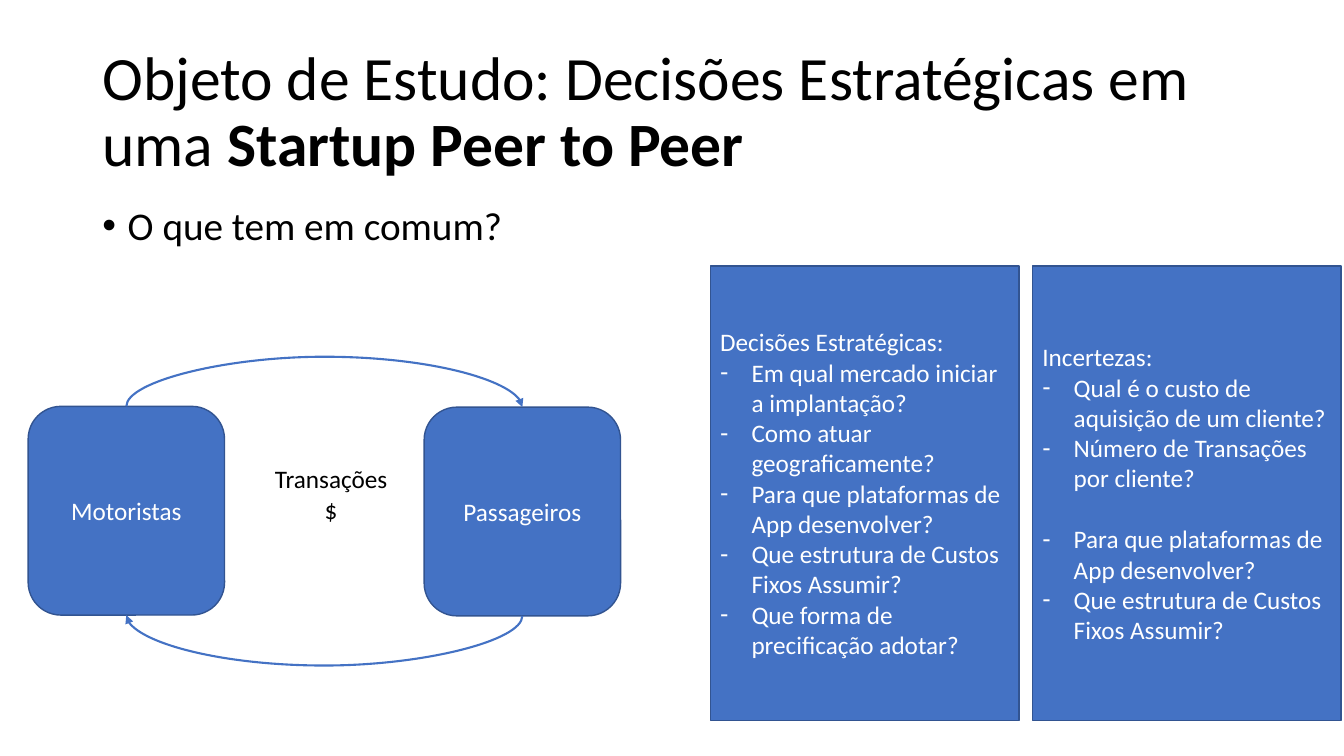
import pptx
import pptx.util
import pptx.dml.color
import pptx.enum.shapes
import pptx.enum.text
import pptx.oxml.ns
import lxml.etree

Cm, Pt = pptx.util.Cm, pptx.util.Pt
SHAPE = pptx.enum.shapes.MSO_SHAPE
ALIGN = pptx.enum.text.PP_ALIGN
ANCHOR = pptx.enum.text.MSO_ANCHOR
qn = pptx.oxml.ns.qn

COLORS = {"text": "000000", "light": "FFFFFF", "fill": "4472C4", "outline": "325491"}
TOP_SITE, BOTTOM_SITE = 0, 2

DECISIONS = [
    "Em qual mercado iniciar a implantação?",
    "Como atuar geograficamente?",
    "Para que plataformas de App desenvolver?",
    "Que estrutura de Custos Fixos Assumir?",
    "Que forma de precificação adotar?",
]
UNCERTAINTIES = [
    "Qual é o custo de aquisição de um cliente?",
    "Número de Transações por cliente?",
    "Para que plataformas de App desenvolver?",
    "Que estrutura de Custos Fixos Assumir?",
]


def rgb(name):
    """Return the named palette colour."""
    return pptx.dml.color.RGBColor.from_string(COLORS[name])


def style(paragraph, size, color, align=ALIGN.LEFT):
    """Set the font and alignment of a paragraph."""
    paragraph.font.name = "Calibri"
    paragraph.font.size = Pt(size)
    paragraph.font.color.rgb = rgb(color)
    paragraph.alignment = align


def add_bullet(paragraph, mark, indent):
    """Give a paragraph a bullet mark and a hanging indent in cm."""
    properties = paragraph._p.get_or_add_pPr()
    properties.set("marL", str(Cm(indent)))
    properties.set("indent", str(-Cm(indent)))
    lxml.etree.SubElement(properties, qn("a:buFont"), typeface="Arial")
    lxml.etree.SubElement(properties, qn("a:buChar"), char=mark)


def add_text(slide, box, anchor=ANCHOR.TOP):
    """Add a wrapping text box and return its text frame."""
    frame = slide.shapes.add_textbox(*map(Cm, box)).text_frame
    frame.word_wrap = True
    frame.vertical_anchor = anchor
    return frame


def add_block(slide, preset, box):
    """Add a filled, outlined shape with vertically centred text."""
    block = slide.shapes.add_shape(preset, *map(Cm, box))
    block.shadow.inherit = False
    block.fill.solid()
    block.fill.fore_color.rgb = rgb("fill")
    block.line.color.rgb = rgb("outline")
    block.line.width = Pt(1)
    block.text_frame.word_wrap = True
    block.text_frame.vertical_anchor = ANCHOR.MIDDLE
    return block


def add_title(slide, box):
    """Add the slide title with its bold ending."""
    title = add_text(slide, box, ANCHOR.MIDDLE).paragraphs[0]
    title.add_run().text = "Objeto de Estudo: Decisões Estratégicas em uma "
    subject = title.add_run()
    subject.text = "Startup Peer to Peer"
    subject.font.bold = True
    title.line_spacing = 0.9
    style(title, 44, "text")


def add_question(slide, box):
    """Add the bulleted opening question."""
    question = add_text(slide, box).paragraphs[0]
    question.text = "O que tem em comum?"
    question.line_spacing = 0.9
    question.space_before = Pt(10)
    style(question, 28, "text")
    add_bullet(question, "•", 0.64)


def add_flow(slide, source, target, site, rotation, drop, bulge):
    """Curve an arrow between the same side of two blocks, bulging outwards."""
    flow = slide.shapes.add_connector(pptx.enum.shapes.MSO_CONNECTOR.CURVE, 0, 0, 0, 0)
    flow.begin_connect(source, site)
    flow.end_connect(target, site)
    span = abs(target.left - source.left)
    edge = source.top if site == TOP_SITE else source.top + source.height
    other = target.top if site == TOP_SITE else target.top + target.height
    middle_x = (source.left + target.left + source.width) // 2
    flow.width, flow.height = Cm(drop), span
    flow.left = middle_x - flow.width // 2
    flow.top = (edge + other - span) // 2

    properties = flow._element.spPr
    frame = properties.find(qn("a:xfrm"))
    frame.attrib.pop("flipV", None)
    frame.set("flipH", "1")
    frame.set("rot", str(rotation * 60000))
    guides = properties.find(qn("a:prstGeom")).get_or_add_avLst()
    ratio = -round(bulge / drop * 100000)
    lxml.etree.SubElement(guides, qn("a:gd"), name="adj1", fmla=f"val {ratio}")

    flow.line.color.rgb = rgb("fill")
    flow.line.width = Pt(1.5)
    lxml.etree.SubElement(flow.line._get_or_add_ln(), qn("a:tailEnd"), type="triangle")
    lxml.etree.SubElement(properties, qn("a:effectLst"))


def add_market(slide, box):
    """Draw the two sides of the market and the transactions between them."""
    left, top, width, height = box
    side_width, drop, bulge = 4.95, 0.02, 1.25
    side_height = height - 2 * bulge - drop
    sides = []
    for index, name in enumerate(["Motoristas", "Passageiros"]):
        side = add_block(slide, SHAPE.ROUNDED_RECTANGLE, (
            left + index * (width - side_width), top + bulge + index * drop,
            side_width, side_height))
        label = side.text_frame.paragraphs[0]
        label.text = name
        style(label, 18, "light", ALIGN.CENTER)
        sides.append(side)
    drivers, passengers = sides
    add_flow(slide, drivers, passengers, TOP_SITE, 270, drop, bulge)
    add_flow(slide, passengers, drivers, BOTTOM_SITE, 90, drop, bulge)

    transactions = add_text(slide, (left + 5.87, top + 2.57, 3.53, 1.8)).paragraphs[0]
    transactions.text = "Transações $"
    style(transactions, 18, "text", ALIGN.CENTER)


def add_panel(slide, box, heading, items, gap_before=None):
    """Add a panel with a heading and dashed items, one optionally set apart."""
    frame = add_block(slide, SHAPE.RECTANGLE, box).text_frame
    title = frame.paragraphs[0]
    title.text = heading
    style(title, 18, "light")
    for index, item in enumerate(items):
        entry = frame.add_paragraph()
        entry.text = item
        style(entry, 18, "light")
        if index == gap_before:
            entry.space_before = Pt(22)
        add_bullet(entry, "-", 0.79)


def build():
    """Build the slide and save it."""
    deck = pptx.Presentation()
    deck.slide_width, deck.slide_height = Cm(33.87), Cm(19.05)
    slide = deck.slides.add_slide(deck.slide_layouts[6])
    add_title(slide, (2.33, 1.02, 29.21, 3.68))
    add_question(slide, (2.33, 5.08, 29.21, 1.5))
    add_market(slide, (0.71, 8.99, 14.93, 7.78))
    add_panel(slide, (17.9, 6.7, 7.78, 11.45), "Decisões Estratégicas:", DECISIONS)
    add_panel(slide, (26.02, 6.7, 7.78, 11.45), "Incertezas:", UNCERTAINTIES, gap_before=2)
    deck.save("out.pptx")


build()
